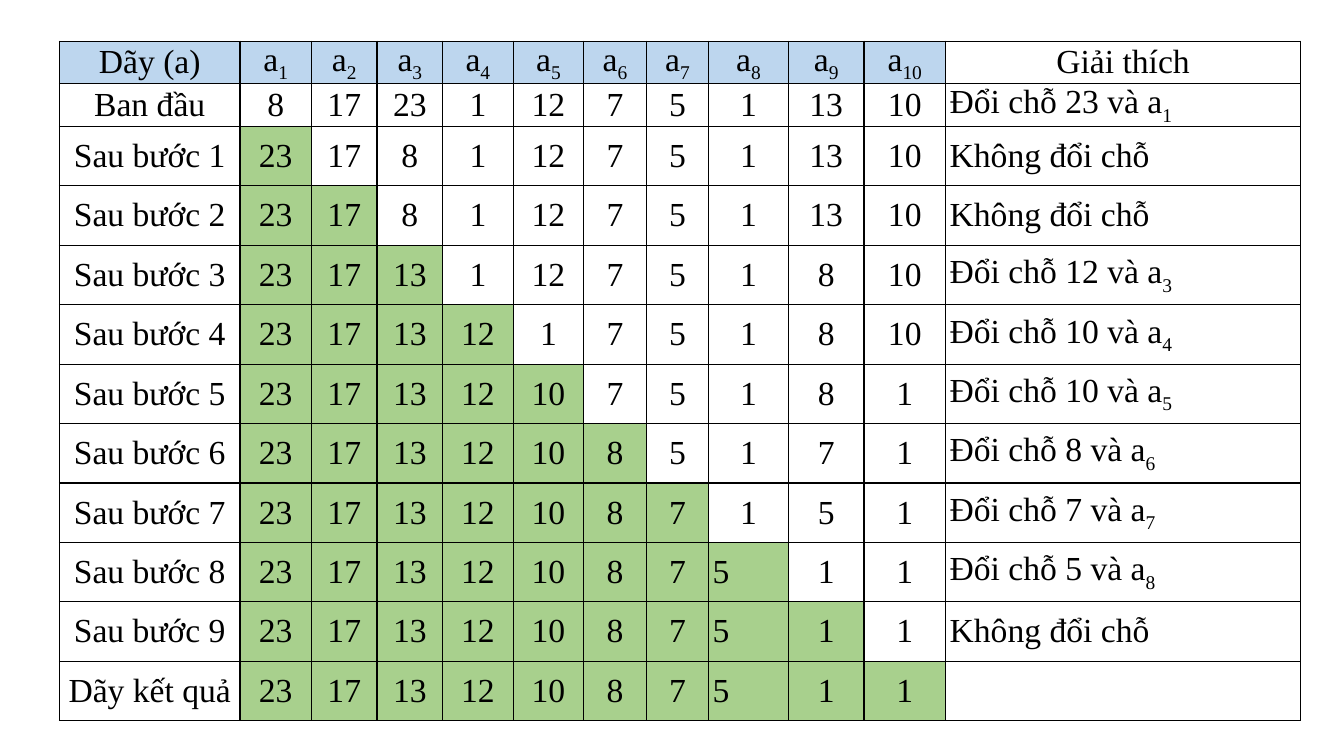
from pptx import Presentation
from pptx.dml.color import RGBColor
from pptx.enum.text import MSO_ANCHOR, PP_ALIGN
from pptx.oxml import parse_xml
from pptx.oxml.ns import nsdecls
from pptx.util import Inches, Pt

BLACK = RGBColor(0x00, 0x00, 0x00)
BLUE = RGBColor(0xBD, 0xD6, 0xEE)
GREEN = RGBColor(0xA8, 0xD0, 0x8D)

# Content: an underscore starts a subscript
HEADER = ["Dãy (a)"] + [f"a_{index}" for index in range(1, 11)] + ["Giải thích"]
SEQUENCES = [
    ([8, 17, 23, 1, 12, 7, 5, 1, 13, 10], "Đổi chỗ 23 và a_1"),
    ([23, 17, 8, 1, 12, 7, 5, 1, 13, 10], "Không đổi chỗ"),
    ([23, 17, 8, 1, 12, 7, 5, 1, 13, 10], "Không đổi chỗ"),
    ([23, 17, 13, 1, 12, 7, 5, 1, 8, 10], "Đổi chỗ 12 và a_3"),
    ([23, 17, 13, 12, 1, 7, 5, 1, 8, 10], "Đổi chỗ 10 và a_4"),
    ([23, 17, 13, 12, 10, 7, 5, 1, 8, 1], "Đổi chỗ 10 và a_5"),
    ([23, 17, 13, 12, 10, 8, 5, 1, 7, 1], "Đổi chỗ 8 và a_6"),
    ([23, 17, 13, 12, 10, 8, 7, 1, 5, 1], "Đổi chỗ 7 và a_7"),
    ([23, 17, 13, 12, 10, 8, 7, 5, 1, 1], "Đổi chỗ 5 và a_8"),
    ([23, 17, 13, 12, 10, 8, 7, 5, 1, 1], "Không đổi chỗ"),
    ([23, 17, 13, 12, 10, 8, 7, 5, 1, 1], ""),
]
LABELS = ["Ban đầu"] + [f"Sau bước {step}" for step in range(1, 10)] + ["Dãy kết quả"]
ROWS = [HEADER] + [
    [label, *map(str, numbers), note]
    for label, (numbers, note) in zip(LABELS, SEQUENCES)
]
COLUMN_WIDTHS = [1.79, 0.71, 0.65, 0.65, 0.7, 0.7, 0.62, 0.62, 0.79, 0.75, 0.81, 3.52]
ROW_HEIGHTS = [0.29, 0.41] + [0.59] * 10
NOTE_COLUMN = len(HEADER) - 1


def write_cell(cell, text, align=PP_ALIGN.CENTER, fill=None):
    """Write text into a bordered table cell, with an optional subscript."""
    cell.vertical_anchor = MSO_ANCHOR.MIDDLE
    cell.margin_left = cell.margin_right = Inches(0.04)
    cell.margin_top = cell.margin_bottom = 0
    properties = cell._tc.get_or_add_tcPr()
    for side in ("lnL", "lnR", "lnT", "lnB"):
        properties.append(parse_xml(
            f'<a:{side} {nsdecls("a")} w="{Pt(1)}"><a:solidFill>'
            f'<a:srgbClr val="{BLACK}"/></a:solidFill></a:{side}>'))
    if fill is None:
        cell.fill.background()
    else:
        cell.fill.solid()
        cell.fill.fore_color.rgb = fill

    paragraph = cell.text_frame.paragraphs[0]
    paragraph.alignment = align
    base, _, subscript = text.partition("_")
    for part in filter(None, (base, subscript)):
        run = paragraph.add_run()
        run.text = part
        run.font.name = "Times New Roman"
        run.font.size = Pt(24)
        run.font.color.rgb = BLACK
    if subscript:
        run._r.get_or_add_rPr().set("baseline", "-25000")


presentation = Presentation()
presentation.slide_width = Inches(13.33)
presentation.slide_height = Inches(7.5)
slide = presentation.slides.add_slide(presentation.slide_layouts[6])

# Table of sorting steps
table = slide.shapes.add_table(
    len(ROWS), len(HEADER), Inches(0.59), Inches(0.41),
    Inches(sum(COLUMN_WIDTHS)), Inches(sum(ROW_HEIGHTS))).table
table.first_row = table.horz_banding = False
for column, width in zip(table.columns, COLUMN_WIDTHS):
    column.width = Inches(width)
for row, height in zip(table.rows, ROW_HEIGHTS):
    row.height = Inches(height)

# Each step adds one sorted number, marked green
for row_index, texts in enumerate(ROWS):
    for column_index, text in enumerate(texts):
        is_sorted = 1 <= column_index < row_index
        is_header = row_index == 0
        fill = GREEN if is_sorted else None
        if is_header and column_index < NOTE_COLUMN:
            fill = BLUE
        is_left = (column_index == NOTE_COLUMN and not is_header) or (
            column_index == 8 and is_sorted)
        write_cell(table.cell(row_index, column_index), text, fill=fill,
                   align=PP_ALIGN.LEFT if is_left else PP_ALIGN.CENTER)

presentation.save("out.pptx")
